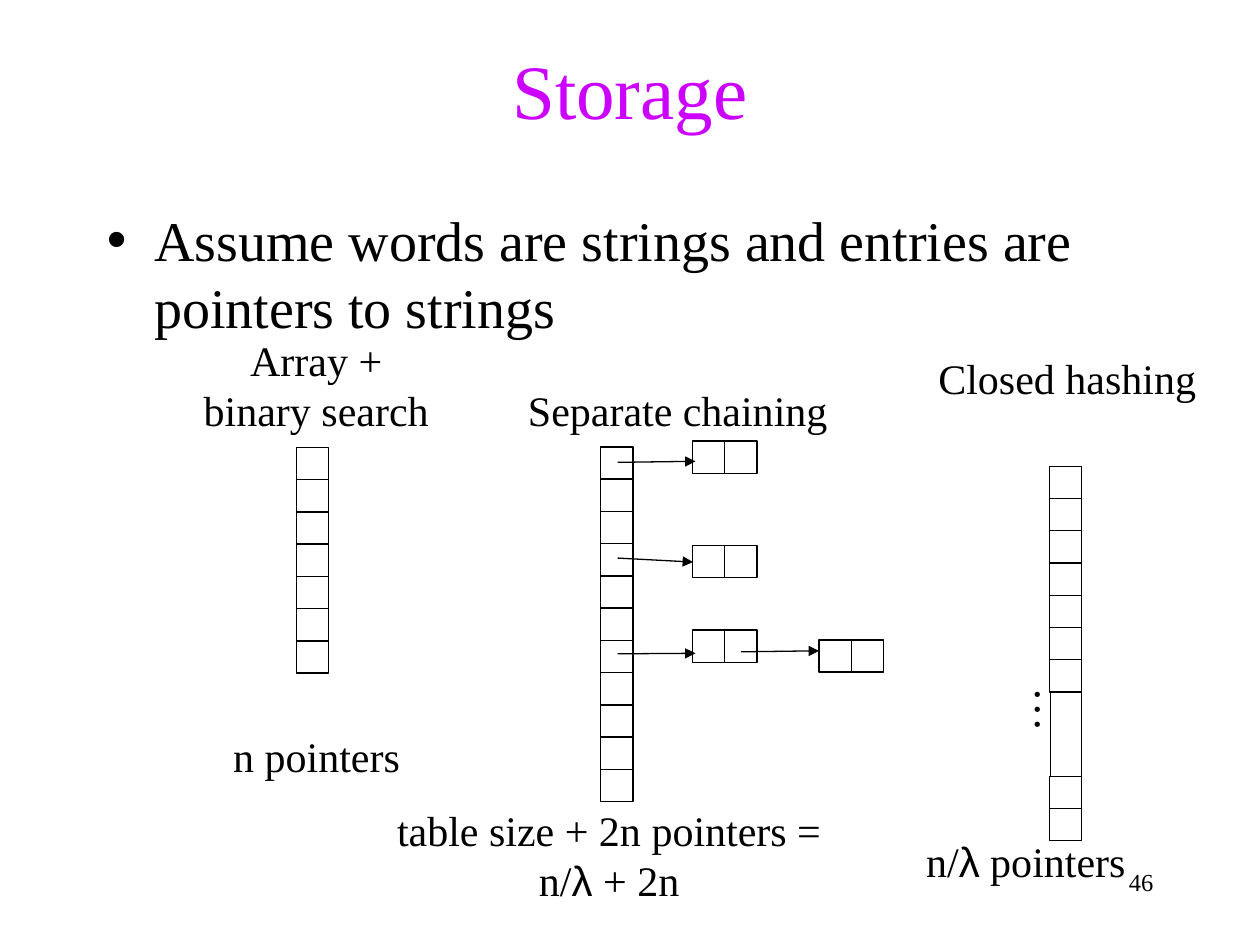
from lxml.etree import SubElement
from pptx import Presentation
from pptx.dml.color import RGBColor
from pptx.enum.shapes import MSO_CONNECTOR, MSO_SHAPE
from pptx.enum.text import MSO_ANCHOR, MSO_AUTO_SIZE, PP_ALIGN
from pptx.oxml.ns import qn
from pptx.util import Cm, Pt

BLACK = RGBColor(0x00, 0x00, 0x00)
MAGENTA = RGBColor(0xCC, 0x00, 0xFF)
SERIF = "Times New Roman"
CELL = 0.65
GAP_HEIGHT = 1.7


def style(paragraph, size, color=BLACK, align=PP_ALIGN.LEFT):
    """Give a paragraph the slide's typeface, size, colour and alignment."""
    paragraph.alignment = align
    paragraph.space_before = Pt(0)
    paragraph.font.name = SERIF
    paragraph.font.size = Pt(size)
    paragraph.font.color.rgb = color


def fill_placeholder(placeholder, box, text, size, color, align):
    """Place a template placeholder in its box and write its text."""
    left, top, width, height = box
    placeholder.left, placeholder.top = Cm(left), Cm(top)
    placeholder.width, placeholder.height = Cm(width), Cm(height)
    frame = placeholder.text_frame
    frame.text = text
    frame.auto_size = MSO_AUTO_SIZE.NONE
    style(frame.paragraphs[0], size, color, align)


def add_label(page, box, lines, align=PP_ALIGN.CENTER, wrap=False, size=24):
    """Add a text box with one paragraph per line, setting lambda in Arial."""
    shape = page.shapes.add_textbox(*map(Cm, box))
    frame = shape.text_frame
    frame.word_wrap = wrap
    frame.auto_size = MSO_AUTO_SIZE.SHAPE_TO_FIT_TEXT
    for index, line in enumerate(lines):
        paragraph = frame.add_paragraph() if index else frame.paragraphs[0]
        before, symbol, after = line.partition("λ")
        for row, part in enumerate(before.split("\n")):
            if row:
                paragraph.add_line_break()
            paragraph.add_run().text = part
        if symbol:
            span = paragraph.add_run()
            span.text = symbol
            span.font.name = "Arial"
            paragraph.add_run().text = after
        style(paragraph, size, align=align)


def add_cell(page, left, top, width=CELL, height=CELL):
    """Draw one outlined, unfilled memory cell."""
    cell = page.shapes.add_shape(
        MSO_SHAPE.RECTANGLE, Cm(left), Cm(top), Cm(width), Cm(height))
    cell.shadow.inherit = False
    cell.fill.background()
    cell.line.color.rgb = BLACK
    cell.line.width = Pt(0.75)
    return cell


def add_column(page, left, top, count):
    """Stack cells downwards from the given corner."""
    for row in range(count):
        add_cell(page, left, top + row * CELL)


def add_node(page, left, top):
    """Draw a list node made of two side-by-side cells."""
    for column in range(2):
        add_cell(page, left + column * CELL, top)


def add_arrow(page, start, end):
    """Draw a pointer arrow between two points."""
    arrow = page.shapes.add_connector(
        MSO_CONNECTOR.STRAIGHT, *map(Cm, start + end))
    arrow.line.color.rgb = BLACK
    arrow.line.width = Pt(0.75)
    SubElement(arrow.line._get_or_add_ln(), qn("a:tailEnd"), type="triangle")
    SubElement(arrow._element.spPr, qn("a:effectLst"))


def array_search(page, left, top):
    """Draw the array with its heading and its storage cost."""
    add_column(page, left + 2.12, top + 2.41, 7)
    add_label(page, (left - 0.2, top, 5.43, 2.29), ["Array +", "binary search"])
    add_label(page, (left + 0.59, top + 8, 4.01, 1.27), ["n pointers"],
              PP_ALIGN.LEFT, True)


def separate_chaining(page, left, top):
    """Draw the bucket column with its chains, heading and storage cost."""
    add_column(page, left + 1.72, top + 1.39, 11)
    add_label(page, (left - 0.2, top, 6.95, 1.27), ["Separate chaining"])
    for x, y in ((3.57, 1.27), (3.57, 3.38), (3.57, 5.08), (6.12, 5.28)):
        add_node(page, left + x, top + y)
    pointers = (
        ((2.06, 1.7), (3.63, 1.68)),
        ((2.06, 3.63), (3.58, 3.71)),
        ((2.06, 5.56), (3.63, 5.55)),
        ((4.55, 5.52), (6.12, 5.5)),
    )
    for (x1, y1), (x2, y2) in pointers:
        add_arrow(page, (left + x1, top + y1), (left + x2, top + y2))
    add_label(page, (left - 3.4, top + 8.47, 10.58, 2.29),
              ["table size + 2n pointers =\nn/λ + 2n"], wrap=True)


def closed_hashing(page, left, top):
    """Draw the broken hash table with its heading and storage cost."""
    x, y = left + 2.49, top + 2.41
    add_column(page, x, y, 7)
    gap_top = y + 7 * CELL
    add_column(page, x, gap_top + GAP_HEIGHT, 2)
    gap = add_cell(page, x + 0.02, gap_top, CELL - 0.02, GAP_HEIGHT)
    frame = gap.text_frame
    frame.word_wrap = False
    frame.vertical_anchor = MSO_ANCHOR.MIDDLE
    frame.margin_left = frame.margin_right = Cm(0.13)
    frame.margin_top, frame.margin_bottom = Cm(0.37), Cm(0.13)
    frame._txBody.bodyPr.set("vert", "eaVert")
    paragraph = frame.paragraphs[0]
    span = paragraph.add_run()
    span.text = "…"
    span.font._element.set("baseline", "30000")
    style(paragraph, 44, align=PP_ALIGN.CENTER)
    add_label(page, (left - 0.2, top, 6.09, 1.27), ["Closed hashing"])
    add_label(page, (left - 0.25, top + 9.72, 4.65, 1.27), ["n/λ pointers"],
              PP_ALIGN.LEFT, True)


def main():
    """Build the storage comparison slide."""
    deck = Presentation()
    deck.slide_width, deck.slide_height = Cm(25.4), Cm(19.05)
    page = deck.slides.add_slide(deck.slide_layouts[1])
    fill_placeholder(page.shapes.title, (1.9, 0.2, 21.6, 3.18),
                     "Storage", 44, MAGENTA, PP_ALIGN.CENTER)
    fill_placeholder(page.placeholders[1], (1.9, 4.02, 21.6, 11.43),
                     "Assume words are strings and entries are pointers to strings",
                     32, BLACK, PP_ALIGN.LEFT)
    array_search(page, 3.86, 6.61)
    separate_chaining(page, 10.39, 7.62)
    closed_hashing(page, 18.67, 6.99)
    add_label(page, (18.21, 17.36, 5.29, 1.27), ["46"],
              PP_ALIGN.RIGHT, True, 14)
    deck.save("out.pptx")


if __name__ == "__main__":
    main()
